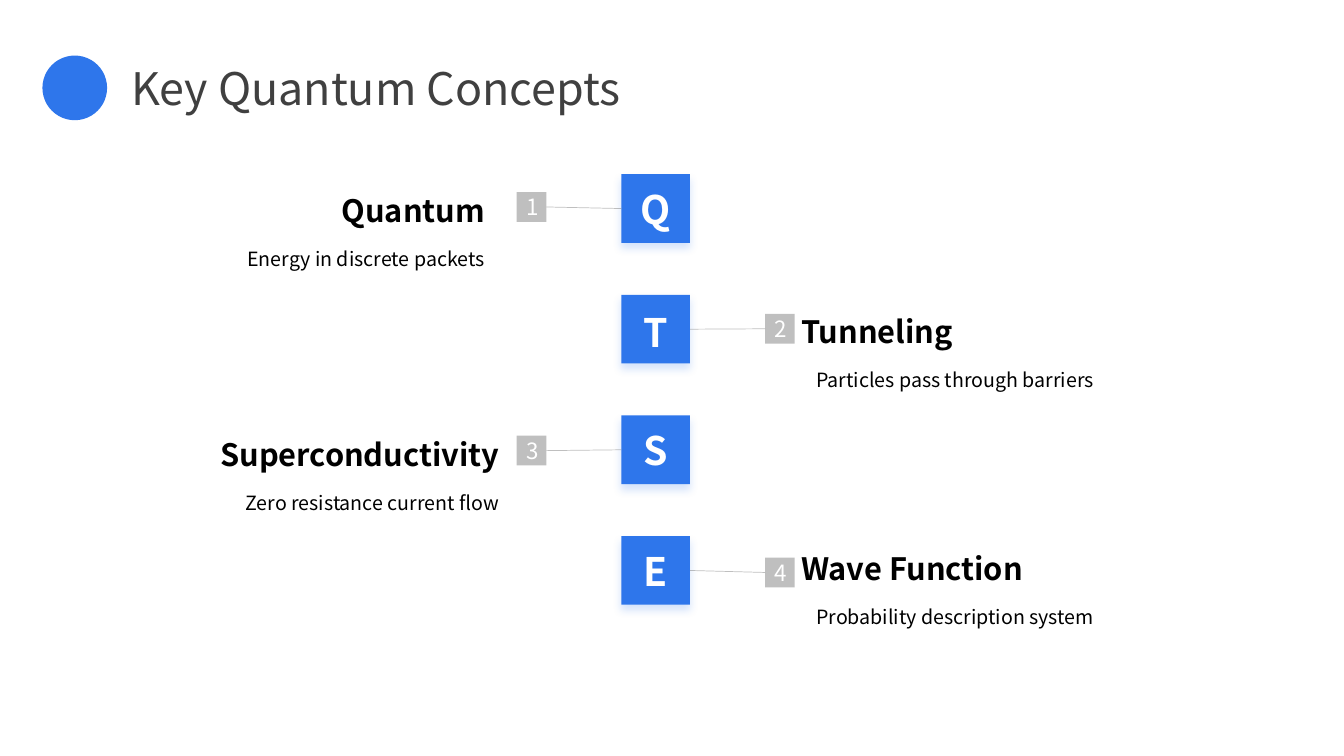
import pptx
import pptx.util
import pptx.dml.color
import pptx.enum.shapes
import pptx.enum.text
import pptx.oxml
import pptx.oxml.ns

Cm = pptx.util.Cm
Pt = pptx.util.Pt
SHAPE = pptx.enum.shapes.MSO_SHAPE
ALIGN = pptx.enum.text.PP_ALIGN
ANCHOR = pptx.enum.text.MSO_ANCHOR
AUTOSIZE = pptx.enum.text.MSO_AUTO_SIZE

BLUE, GRAY, DARK, BLACK, WHITE = "2E76EB", "808080", "404040", "000000", "FFFFFF"
SQUARE, BADGE = 1.73, 0.75
SQUARE_LEFT, SQUARE_TOP, SQUARE_STEP = 15.66, 4.39, 3.04
BADGE_TOP, BADGE_STEP = 4.84, 3.07
TEXT_WIDTH, INDENT, BODY_DROP = 10.69, 0.38, 1.09


def rgb(value):
    return pptx.dml.color.RGBColor.from_string(value)


def add_xml(parent, xml):
    element = pptx.oxml.parse_xml(xml.replace(">", f" {pptx.oxml.ns.nsdecls('a')}>", 1))
    parent.append(element)


class Deck:
    font = "Noto Sans CJK SC"

    def __init__(self):
        self.prs = pptx.Presentation()
        self.prs.slide_width, self.prs.slide_height = Cm(33.87), Cm(19.05)
        self.slide = self.prs.slides.add_slide(self.prs.slide_layouts[5])

    def style_text(self, tf, text, size, color, align, bold=False, spacing=None):
        tf.word_wrap = True
        p = tf.paragraphs[0]
        p.text = text
        p.alignment = align
        p.space_before = Pt(0)
        p.line_spacing = spacing
        p.font.name = self.font
        p.font.size = Pt(size)
        p.font.bold = bold
        p.font.color.rgb = rgb(color)

    def title(self, text, x, y, w, h):
        sp = self.slide.shapes.title
        sp.left, sp.top, sp.width, sp.height = Cm(x), Cm(y), Cm(w), Cm(h)
        sp.text_frame.vertical_anchor = ANCHOR.MIDDLE
        self.style_text(sp.text_frame, text, 32, DARK, ALIGN.LEFT)

    def shape(self, kind, x, y, size, color, alpha=None):
        sp = self.slide.shapes.add_shape(kind, Cm(x), Cm(y), Cm(size), Cm(size))
        sp.shadow.inherit = False
        sp.fill.solid()
        sp.fill.fore_color.rgb = rgb(color)
        sp.line.fill.background()
        if alpha:
            self.fade(sp, alpha)
        return sp

    def fade(self, sp, alpha):
        for color in sp._element.spPr.iter(pptx.oxml.ns.qn("a:srgbClr")):
            add_xml(color, f'<a:alpha val="{alpha * 1000}"></a:alpha>')

    def letter(self, text, x, y, spacing):
        sp = self.shape(SHAPE.RECTANGLE, x, y, SQUARE, BLUE)
        effects = sp._element.spPr.find(pptx.oxml.ns.qn("a:effectLst"))
        add_xml(effects, f'<a:outerShdw blurRad="{Pt(6)}" dist="{Pt(4)}" dir="5400000" '
                f'algn="t" rotWithShape="0"><a:srgbClr val="{BLUE}">'
                '<a:alpha val="20000"/></a:srgbClr></a:outerShdw>')
        sp.text_frame.vertical_anchor = ANCHOR.MIDDLE
        self.style_text(sp.text_frame, text, 28, WHITE, ALIGN.CENTER, True, spacing)
        return sp

    def badge(self, number, x, y):
        sp = self.shape(SHAPE.RECTANGLE, x, y, BADGE, GRAY, 50)
        sp.text_frame.vertical_anchor = ANCHOR.MIDDLE
        self.style_text(sp.text_frame, str(number), 16, WHITE, ALIGN.CENTER)
        return sp

    def link(self, left, right):
        line = self.slide.shapes.add_connector(
            pptx.enum.shapes.MSO_CONNECTOR.STRAIGHT, 0, 0, 0, 0)
        line.begin_connect(left, 3)
        line.end_connect(right, 1)
        line.line.width = Pt(0.5)
        line.line.color.rgb = rgb(GRAY)
        self.fade(line, 50)
        add_xml(line._element.spPr, "<a:effectLst></a:effectLst>")

    def text(self, text, x, y, w, h, size, align, bold=False, spacing=None):
        box = self.slide.shapes.add_textbox(Cm(x), Cm(y), Cm(w), Cm(h))
        box.text_frame.auto_size = AUTOSIZE.SHAPE_TO_FIT_TEXT
        self.style_text(box.text_frame, text, size, BLACK, align, bold, spacing)


def main():
    deck = Deck()
    deck.title("Key Quantum Concepts", 3.05, 1.4, 28.96, 1.63)
    deck.shape(SHAPE.OVAL, 1.07, 1.4, 1.63, BLUE)
    concepts = [
        ("Q", "Quantum", "Energy in discrete packets", 1.78, 4.7, None),
        ("T", "Tunneling", "Particles pass through barriers", 20.32, 7.75, 1.1),
        ("S", "Superconductivity", "Zero resistance current flow", 2.14, 10.85, None),
        ("E", "Wave Function", "Probability description system", 20.32, 13.72, None),
    ]
    for i, (initial, heading, detail, x, y, spacing) in enumerate(concepts):
        on_left = i % 2 == 0
        square = deck.letter(initial, SQUARE_LEFT, SQUARE_TOP + i * SQUARE_STEP, spacing)
        badge = deck.badge(i + 1, 13.02 if on_left else 19.28, BADGE_TOP + i * BADGE_STEP)
        deck.link(*((badge, square) if on_left else (square, badge)))
        align = ALIGN.RIGHT if on_left else ALIGN.LEFT
        shift = 0 if on_left else INDENT
        deck.text(heading, x - shift, y, TEXT_WIDTH + shift, 1.19, 22, align, True)
        deck.text(detail, x, y + BODY_DROP, TEXT_WIDTH, 1.96, 14, align, spacing=1.5)
    deck.prs.save("out.pptx")


if __name__ == "__main__":
    main()
